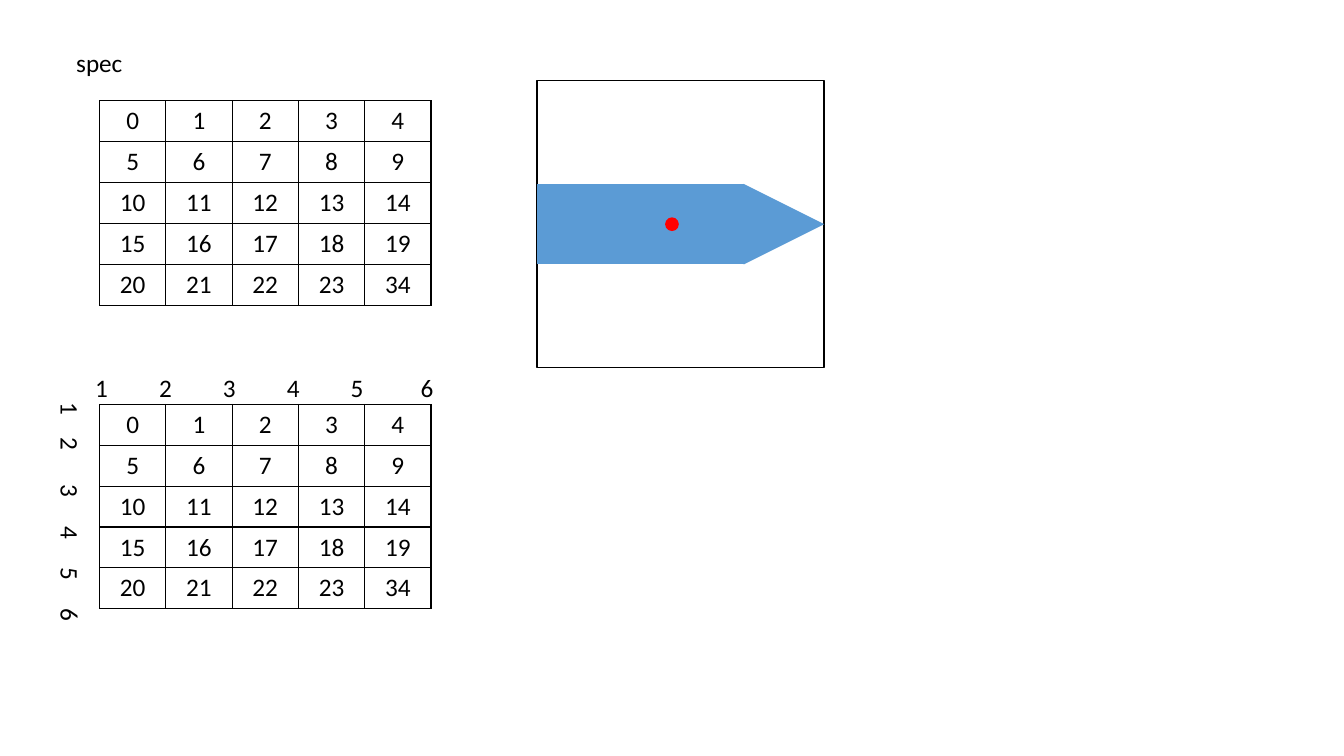
from lxml.etree import SubElement
from pptx import Presentation
from pptx.dml.color import RGBColor
from pptx.enum.shapes import MSO_SHAPE
from pptx.enum.text import PP_ALIGN
from pptx.oxml.ns import qn
from pptx.util import Cm, Pt

BLACK = RGBColor(0x00, 0x00, 0x00)
BLUE = RGBColor(0x5B, 0x9B, 0xD5)
RED = RGBColor(0xFF, 0x00, 0x00)
SIZE = 5
COL_W, ROW_H = 1.67, 1.03
VALUES = [*range(SIZE * SIZE - 1), 34]
COLUMN_TABS = [1.61, 3.22, 4.83, 6.44, 8.2]
ROW_TABS = [0.88, 2.07, 3.12, 4.16, 5.19]


def add_run(p, text):
    r = p.add_run()
    r.text = text
    r.font.name = "Calibri"
    r.font.size = Pt(18)
    r.font.color.rgb = BLACK


def add_label(slide, x, y, w, h, texts, tabs=(), vertical=False):
    tf = slide.shapes.add_textbox(Cm(x), Cm(y), Cm(w), Cm(h)).text_frame
    tf.word_wrap = True
    p = tf.paragraphs[0]
    if vertical:
        tf._txBody.bodyPr.set("vert", "eaVert")
    if tabs:
        tab_list = SubElement(p._p.get_or_add_pPr(), qn("a:tabLst"))
        for pos in tabs:
            SubElement(tab_list, qn("a:tab"), pos=str(Cm(pos)), algn="l")
    add_run(p, "\t".join(texts))


def add_border(cell):
    tc_pr = cell._tc.get_or_add_tcPr()
    for index, side in enumerate(("a:lnL", "a:lnR", "a:lnT", "a:lnB")):
        ln = tc_pr.makeelement(qn(side), {"w": str(Pt(1))})
        fill = SubElement(ln, qn("a:solidFill"))
        SubElement(fill, qn("a:srgbClr"), val=str(BLACK))
        tc_pr.insert(index, ln)


def add_grid(slide, x, y):
    table = slide.shapes.add_table(SIZE, SIZE, Cm(x), Cm(y),
                                   Cm(SIZE * COL_W), Cm(SIZE * ROW_H)).table
    table.first_row = table.horz_banding = False
    for col in table.columns:
        col.width = Cm(COL_W)
    for row in table.rows:
        row.height = Cm(ROW_H)
    for cell, value in zip(table.iter_cells(), VALUES):
        cell.fill.background()
        add_border(cell)
        p = cell.text_frame.paragraphs[0]
        p.alignment = PP_ALIGN.CENTER
        add_run(p, str(value))


def add_numbered_grid(slide, x, y):
    numbers = [str(n) for n in range(1, SIZE + 2)]
    add_grid(slide, x, y)
    add_label(slide, x - 0.36, y - 0.93, 9.3, 1.03, numbers, COLUMN_TABS)
    add_label(slide, x - 1.5, y - 0.3, 1.28, 6.3, numbers, ROW_TABS, True)


def add_figure(shapes, kind, x, y, w, h, fill=None, line=None):
    sp = shapes.add_shape(kind, Cm(x), Cm(y), Cm(w), Cm(h))
    sp.shadow.inherit = False
    if fill is None:
        sp.fill.background()
    else:
        sp.fill.solid()
        sp.fill.fore_color.rgb = fill
    if line is None:
        sp.line.fill.background()
    else:
        sp.line.color.rgb = line
        sp.line.width = Pt(1)
    return sp


def add_pointer(slide, x, y, side):
    thick, dot = 2.03, 0.31
    body = side - thick
    top = y + (side - thick) / 2
    shapes = slide.shapes.add_group_shape().shapes
    add_figure(shapes, MSO_SHAPE.RECTANGLE, x, y, side, side, line=BLACK)
    shaft = add_figure(shapes, MSO_SHAPE.TRAPEZOID, x, top, body, thick, BLUE)
    shaft.adjustments[0] = 0
    tip = add_figure(shapes, MSO_SHAPE.ISOSCELES_TRIANGLE,
                     x + body, top, thick, thick, BLUE)
    tip.rotation = 90
    add_figure(slide.shapes, MSO_SHAPE.OVAL, x + 3.25,
               y + (side - dot) / 2, dot, dot, RED, RED)


def main():
    prs = Presentation()
    prs.slide_width, prs.slide_height = Cm(33.87), Cm(19.05)
    slide = prs.slides.add_slide(prs.slide_layouts[6])
    add_label(slide, 1.67, 1.07, 1.8, 1.03, ["spec"])
    add_grid(slide, 2.51, 2.54)
    add_numbered_grid(slide, 2.51, 10.19)
    add_pointer(slide, 13.53, 2.03, 7.24)
    prs.save("out.pptx")


if __name__ == "__main__":
    main()
